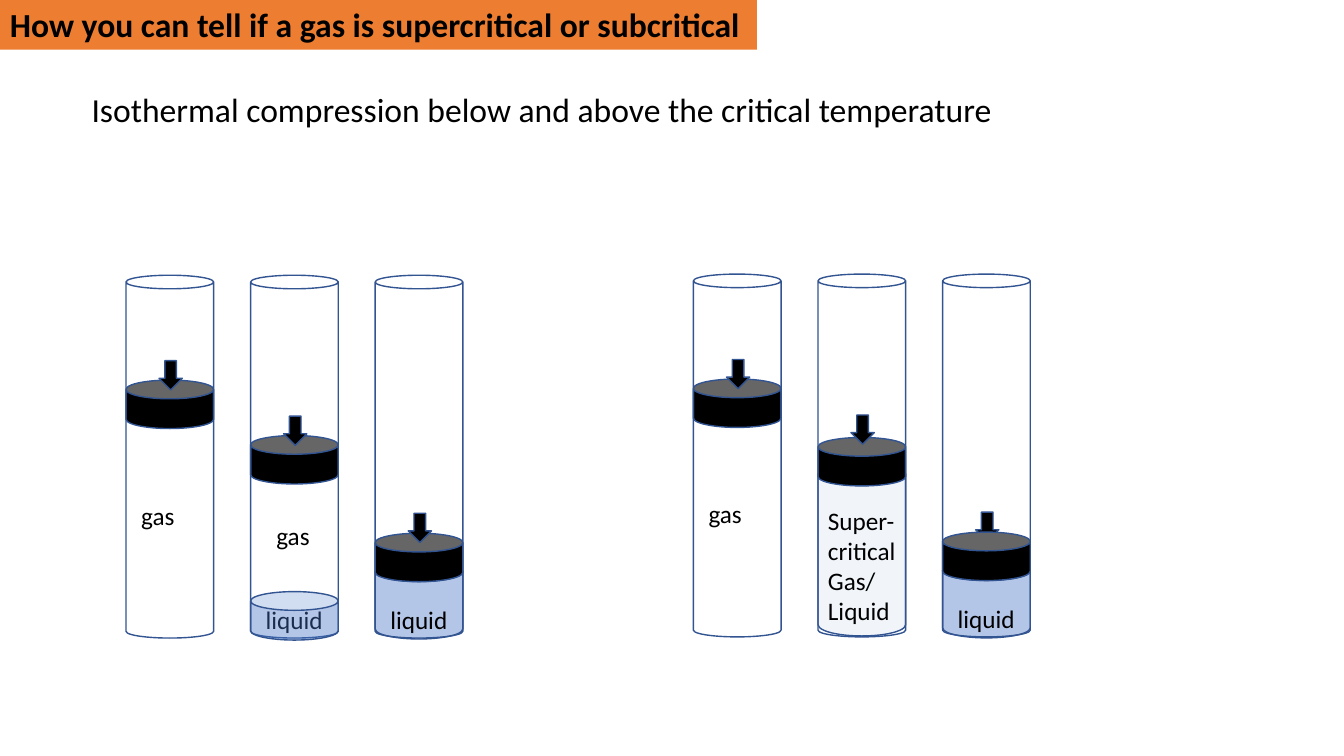
from lxml import etree
from pptx import Presentation
from pptx import util as u
from pptx.dml import color
from pptx.enum import shapes, text
from pptx.oxml import ns

Kind = shapes.MSO_SHAPE
WIDE = 62.64
STEP = 89
TUBE = 259.2


def paint(code):
    return color.RGBColor.from_string(code)


class Sketch:
    font = "Calibri"
    ink = "000000"
    edge = "325491"
    blue = "4472C4"

    def __init__(self, slide):
        self.slide = slide
        self.items = slide.shapes

    def group(self):
        self.items = self.slide.shapes.add_group_shape().shapes

    def leave(self):
        self.items = self.slide.shapes

    def shape(self, kind, box, fill=None, line=None, alpha=None):
        item = self.items.add_shape(kind, *map(u.Pt, box))
        item.shadow.inherit = False
        if fill:
            item.fill.solid()
            item.fill.fore_color.rgb = paint(fill)
        else:
            item.fill.background()
        if alpha:
            tone = item.element.spPr.find(".//" + ns.qn("a:srgbClr"))
            etree.SubElement(tone, ns.qn("a:alpha"), val=str(alpha * 1000))
        if line:
            item.line.color.rgb = paint(line)
            item.line.width = u.Pt(1)
        else:
            item.line.fill.background()
        return item

    def can(self, x, y, high, bend, fill=None, alpha=None):
        item = self.shape(Kind.CAN, (x, y, WIDE, high), fill, self.edge, alpha)
        item.adjustments[0] = bend

    def tube(self, x, y):
        self.can(x, y, TUBE, 0.155)

    def piston(self, x, y):
        self.can(x, y, 34.6, 0.386, self.ink)

    def arrow(self, x, y):
        box = (x + 23.6, y, 16.6, 20.9)
        self.shape(Kind.DOWN_ARROW, box, self.ink, self.edge)

    def liquid(self, x, y):
        self.can(x, y, 55.4, 0.259, self.blue, 40)

    def put(self, item, lines, size=18, bold=None, wrap=True):
        frame = item.text_frame
        frame.word_wrap = wrap
        frame.auto_size = text.MSO_AUTO_SIZE.SHAPE_TO_FIT_TEXT
        for i, line in enumerate(lines):
            para = frame.paragraphs[0] if i == 0 else frame.add_paragraph()
            para.alignment = text.PP_ALIGN.LEFT
            run = para.add_run()
            run.text = line
            run.font.name = self.font
            run.font.size = u.Pt(size)
            run.font.bold = bold
            run.font.color.rgb = paint(self.ink)

    def label(self, x, y, *lines, high=28.8):
        box = self.items.add_textbox(*map(u.Pt, (x, y, 73.4, high)))
        self.put(box, lines)

    def head(self, line):
        box = self.items.add_textbox(*map(u.Pt, (58.3, 59.8, 668.9, 36)))
        self.put(box, [line], 24, wrap=False)

    def title(self, line):
        bar = self.shape(Kind.RECTANGLE, (0, -0.5, 540.7, 36), "ED7D31")
        self.put(bar, [line], 24, True, False)


def below(art):
    x, y = 90, 196.6
    art.group()
    art.piston(x, y + 74.9)
    art.tube(x, y)
    art.arrow(x, y + 61)
    art.label(x + 3.7, y + 156.9, "gas")

    x += STEP
    art.piston(x, y + 114.5)
    art.tube(x, y)
    art.arrow(x, y + 100.6)
    art.label(x + 11.3, y + 171.4, "gas")
    art.label(x + 3.7, y + 231.8, "liquid")
    art.can(x, y + 226, 34.6, 0.386, art.blue, 40)

    x += STEP
    art.liquid(x, y + 204.5)
    art.piston(x, y + 184.3)
    art.tube(x, y)
    art.arrow(x, y + 170)
    art.label(x + 3.7, y + 231.8, "liquid")
    art.leave()


def above(art):
    x, y = 495.3, 195.8
    art.can(x + STEP, y + 134.7, 123.8, 0.259, art.blue, 7)
    art.group()
    art.piston(x, y + 74.9)
    art.tube(x, y)
    art.arrow(x, y + 61)
    art.label(x + 3.7, y + 156.9, "gas")

    x += STEP
    art.piston(x, y + 116.7)
    art.tube(x, y)
    art.arrow(x, y + 100.6)
    art.label(x, y + 161.3, "Super-critical Gas/", "Liquid", high=94.3)

    x += STEP
    art.liquid(x, y + 204.5)
    art.tube(x, y)
    art.arrow(x, y + 170)
    art.piston(x, y + 184.3)
    art.label(x + 3.7, y + 231.8, "liquid")
    art.leave()


def main():
    deck = Presentation()
    deck.slide_width, deck.slide_height = u.Pt(960), u.Pt(540)
    art = Sketch(deck.slides.add_slide(deck.slide_layouts[6]))
    below(art)
    above(art)
    art.head("Isothermal compression below and above the critical temperature")
    art.title("How you can tell if a gas is supercritical or subcritical")
    deck.save("out.pptx")


if __name__ == "__main__":
    main()
